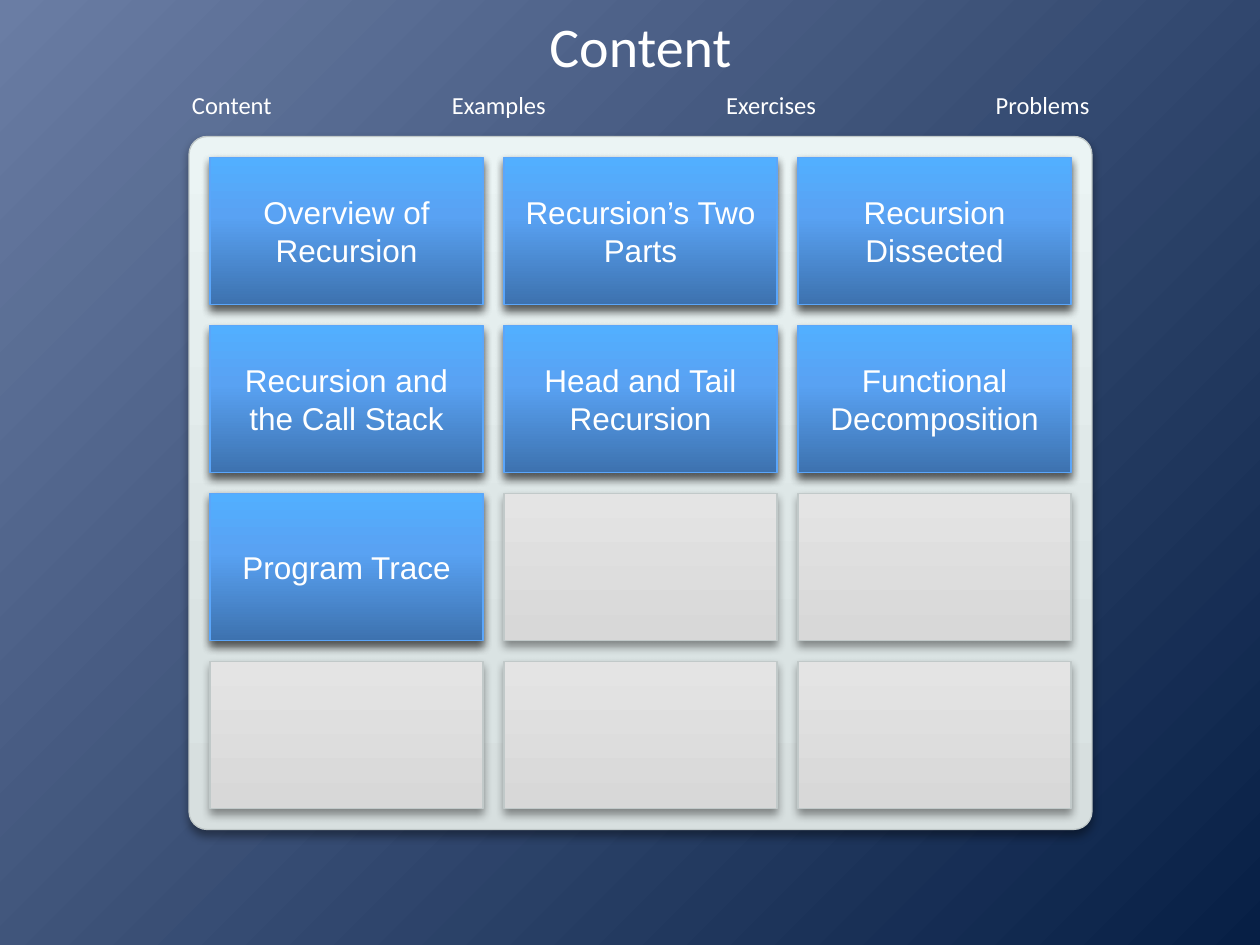
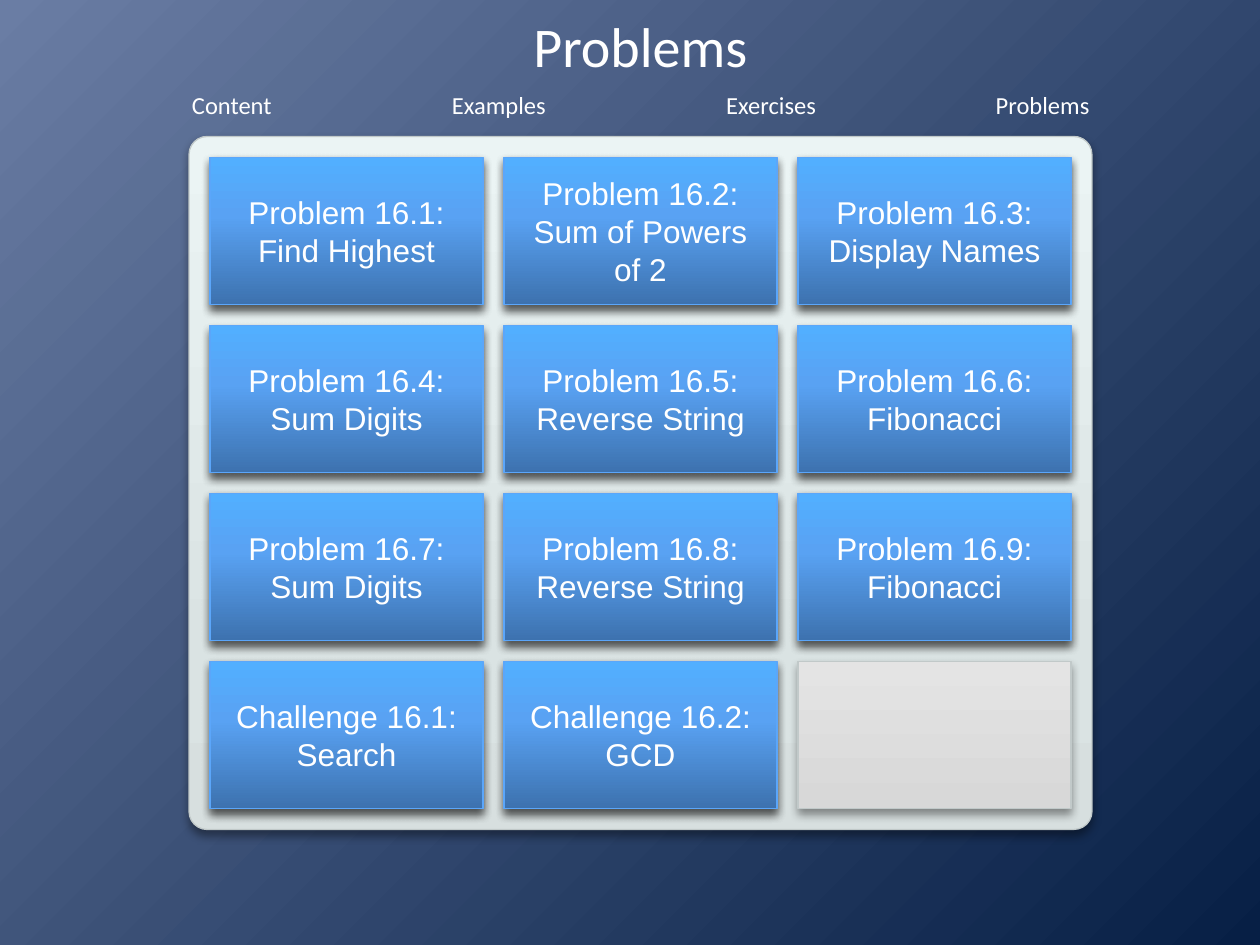
from pptx import Presentation
from pptx.dml.color import RGBColor as RGB
from pptx.enum.shapes import MSO_SHAPE as KIND
from pptx.enum.text import MSO_ANCHOR as ANCHOR, MSO_AUTO_SIZE as AUTO, PP_ALIGN as ALIGN
from pptx.oxml import parse_xml
from pptx.oxml.ns import nsdecls, qn
from pptx.util import Inches, Pt

HEX = {"white": "FFFFFF", "black": "000000", "edge": "C1C9C9", "rim": "5BA6FA"}
SHADES = {
    "back": [(0, "6A7DA4"), (100, "071F45")],
    "panel": [(0, "D7DFDF"), (25, "DAE3E3"), (100, "EBF4F4")],
    "slot": [(0, "D8D8D8"), (1, "D8D8D8"), (100, "E4E4E4")],
    "tile": [(0, "3D72AF"), (60, "59A2F3"), (100, "52AFFF")],
}
UPWARD = '<a:lin ang="16200000" scaled="0"/>'
CORNER = '<a:path path="circle"><a:fillToRect r="100000" b="100000"/></a:path>'

LINKS = [("Content", 0.84), ("Examples", 0.96), ("Exercises", 0.92), ("Problems", 0.95)]
PAGES = {
    "Content": [
        "Overview of Recursion", "Recursion’s Two Parts", "Recursion Dissected",
        "Recursion and the Call Stack", "Head and Tail Recursion",
        "Functional Decomposition", "Program Trace",
    ],
    "Problems": [
        "Problem 16.1:\nFind Highest", "Problem 16.2:\nSum of Powers of 2",
        "Problem 16.3:\nDisplay Names", "Problem 16.4:\nSum Digits",
        "Problem 16.5:\nReverse String", "Problem 16.6:\nFibonacci",
        "Problem 16.7:\nSum Digits", "Problem 16.8:\nReverse String",
        "Problem 16.9:\nFibonacci", "Challenge 16.1:\nSearch", "Challenge 16.2:\nGCD",
    ],
}

deck = Presentation()
deck.slide_width, deck.slide_height = Inches(10), Inches(7.5)

# The slide is 60 x 45 units; tiles are 13 x 7 with gaps of one unit.
U = deck.slide_width / 60
COLS, ROWS = 3, 4
WIDE, HIGH = 13, 7
LEFT, TOP = 9, 6.5
GRID = [(LEFT + 1 + c * (WIDE + 1), TOP + 1 + r * (HIGH + 1), WIDE, HIGH)
        for r in range(ROWS) for c in range(COLS)]
SPAN = COLS * (WIDE + 1) + 1
DEPTH = ROWS * (HIGH + 1) + 1


def blend(shade, course):
    """Return a gradient fill element with the stops of a named shade."""
    stops = "".join(f'<a:gs pos="{pos * 1000}"><a:srgbClr val="{tone}"/></a:gs>'
                    for pos, tone in SHADES[shade])
    return parse_xml(f'<a:gradFill {nsdecls("a")} rotWithShape="1">'
                     f'<a:gsLst>{stops}</a:gsLst>{course}</a:gradFill>')


def plate(slide, kind, box, shade, rim):
    """Add a shaded, shadowed shape; box is given in grid units."""
    shape = slide.shapes.add_shape(kind, *(round(n * U) for n in box))
    shape.fill.background()
    props = shape.element.spPr
    props.replace(props.find(qn("a:noFill")), blend(shade, UPWARD))
    shape.line.color.rgb = RGB.from_string(HEX[rim])
    shape.line.width = Pt(0.75)
    shape.shadow.inherit = False
    props.find(qn("a:effectLst")).append(parse_xml(
        f'<a:outerShdw {nsdecls("a")} blurRad="{Pt(5.2)}" dist="{Pt(3)}" dir="5400000" '
        f'rotWithShape="0"><a:srgbClr val="{HEX["black"]}"><a:alpha val="40000"/>'
        '</a:srgbClr></a:outerShdw>'))
    return shape


# Shared layout: background, title place, panel, empty slots and links
layout = deck.slide_layouts.get_by_name("Title Only")
layout.background.fill.background()
back = layout.element.cSld.find(qn("p:bg")).find(qn("p:bgPr"))
back.replace(back.find(qn("a:noFill")), blend("back", CORNER))
for item in list(layout.placeholders)[1:]:
    item.element.getparent().remove(item.element)
head = layout.placeholders[0]
head.left, head.top = round(LEFT * U), Inches(0.11)
head.width, head.height = round(SPAN * U), round(3 * U)

slides = [deck.slides.add_slide(layout) for _ in PAGES]

# Slide layouts cannot add shapes, so the frame is made on a slide and moved
first = slides[0]
panel = plate(first, KIND.ROUNDED_RECTANGLE, (LEFT, TOP, SPAN, DEPTH), "panel", "edge")
panel.adjustments[0] = 0.026
frame = [panel] + [plate(first, KIND.RECTANGLE, box, "slot", "edge") for box in GRID]
x = 1.42
for word, width in LINKS:
    link = first.shapes.add_textbox(Inches(x), round(4 * U), Inches(width), Inches(0.34))
    link.text_frame.word_wrap = False
    link.text_frame.auto_size = AUTO.SHAPE_TO_FIT_TEXT
    para = link.text_frame.paragraphs[0]
    para.text, para.alignment = word, ALIGN.CENTER
    para.font.name, para.font.size = "Calibri", Pt(14)
    para.font.color.rgb = RGB.from_string(HEX["white"])
    frame.append(link)
    x += width + 1.22
for part in frame:
    layout.shapes.element.append(part.element)

# Titles and topic tiles
for slide, (name, topics) in zip(slides, PAGES.items()):
    title = slide.shapes.title
    tiles = [plate(slide, KIND.RECTANGLE, box, "tile", "rim")
             for box, _ in zip(GRID, topics)]
    texts = [(title, name, "Calibri", 32)]
    texts += [(tile, topic, "Arial", 18) for tile, topic in zip(tiles, topics)]
    for shape, words, face, size in texts:
        box = shape.text_frame
        box.word_wrap, box.vertical_anchor = True, ANCHOR.MIDDLE
        para = box.paragraphs[0]
        para.text, para.alignment = words, ALIGN.CENTER
        para.font.name, para.font.size = face, Pt(size)
        para.font.color.rgb = RGB.from_string(HEX["white"])
    box = title.text_frame
    box.auto_size = AUTO.NONE
    box.margin_left = box.margin_right = box.margin_top = box.margin_bottom = 0

deck.save("out.pptx")
